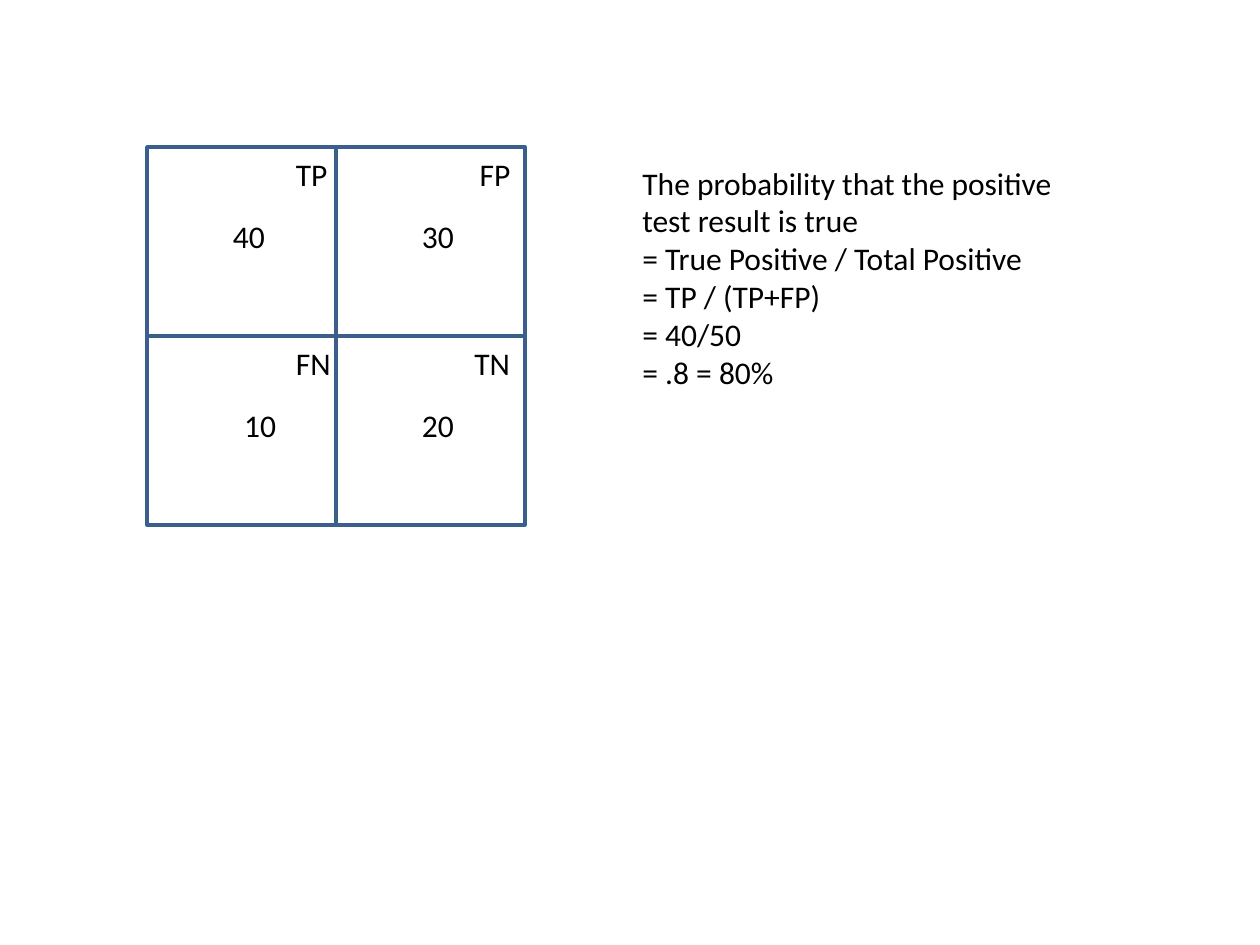
from pptx import Presentation
from pptx.dml.color import RGBColor
from pptx.enum.shapes import MSO_SHAPE
from pptx.enum.text import MSO_AUTO_SIZE
from pptx.util import Pt

FONT, INK, PAPER, OUTLINE = "Calibri", "000000", "FFFFFF", "3A5F8C"
GRID_LEFT, GRID_TOP, CELL = 84, 84, 108
LABEL_DROP, COUNT_DROP = 1, 36.4
LINE_HEIGHT, COUNT_WIDTH = 29, 33

OUTCOMES = [
    {"label": "TP", "label_x": 78, "label_width": 32.4, "count": "40", "count_x": 42},
    {"label": "FP", "label_x": 75, "label_width": 32.4, "count": "30", "count_x": 42},
    {"label": "FN", "label_x": 78, "label_width": 34.6, "count": "10", "count_x": 48.5},
    {"label": "TN", "label_x": 72, "label_width": 35.3, "count": "20", "count_x": 42},
]
EXPLANATION = [
    "The probability that the positive test result is true",
    "= True Positive / Total Positive",
    "= TP / (TP+FP)",
    "= 40/50",
    "= .8 = 80%",
]


def color(value):
    return RGBColor.from_string(value)


def add_text(slide, lines, left, top, width, height, wrap=False):
    frame = slide.shapes.add_textbox(Pt(left), Pt(top), Pt(width), Pt(height)).text_frame
    frame.word_wrap = wrap
    frame.auto_size = MSO_AUTO_SIZE.SHAPE_TO_FIT_TEXT
    frame.text = "\n".join(lines)
    for paragraph in frame.paragraphs:
        paragraph.font.name = FONT
        paragraph.font.size = Pt(18)
        paragraph.font.color.rgb = color(INK)


def add_cell(slide, left, top):
    cell = slide.shapes.add_shape(MSO_SHAPE.RECTANGLE, Pt(left), Pt(top), Pt(CELL), Pt(CELL))
    cell.shadow.inherit = False
    cell.fill.solid()
    cell.fill.fore_color.rgb = color(PAPER)
    cell.line.color.rgb = color(OUTLINE)
    cell.line.width = Pt(2)


presentation = Presentation()
presentation.slide_width, presentation.slide_height = Pt(720), Pt(540)
slide = presentation.slides.add_slide(presentation.slide_layouts[6])

corners = [(GRID_LEFT + i % 2 * CELL, GRID_TOP + i // 2 * CELL) for i in range(len(OUTCOMES))]
for left, top in corners:
    add_cell(slide, left, top)
for outcome, (left, top) in zip(OUTCOMES, corners):
    add_text(slide, [outcome["label"]], left + outcome["label_x"], top + LABEL_DROP,
             outcome["label_width"], LINE_HEIGHT)
    add_text(slide, [outcome["count"]], left + outcome["count_x"], top + COUNT_DROP,
             COUNT_WIDTH, LINE_HEIGHT)

add_text(slide, EXPLANATION, 360, 90, 270, 138, wrap=True)

presentation.save("out.pptx")
